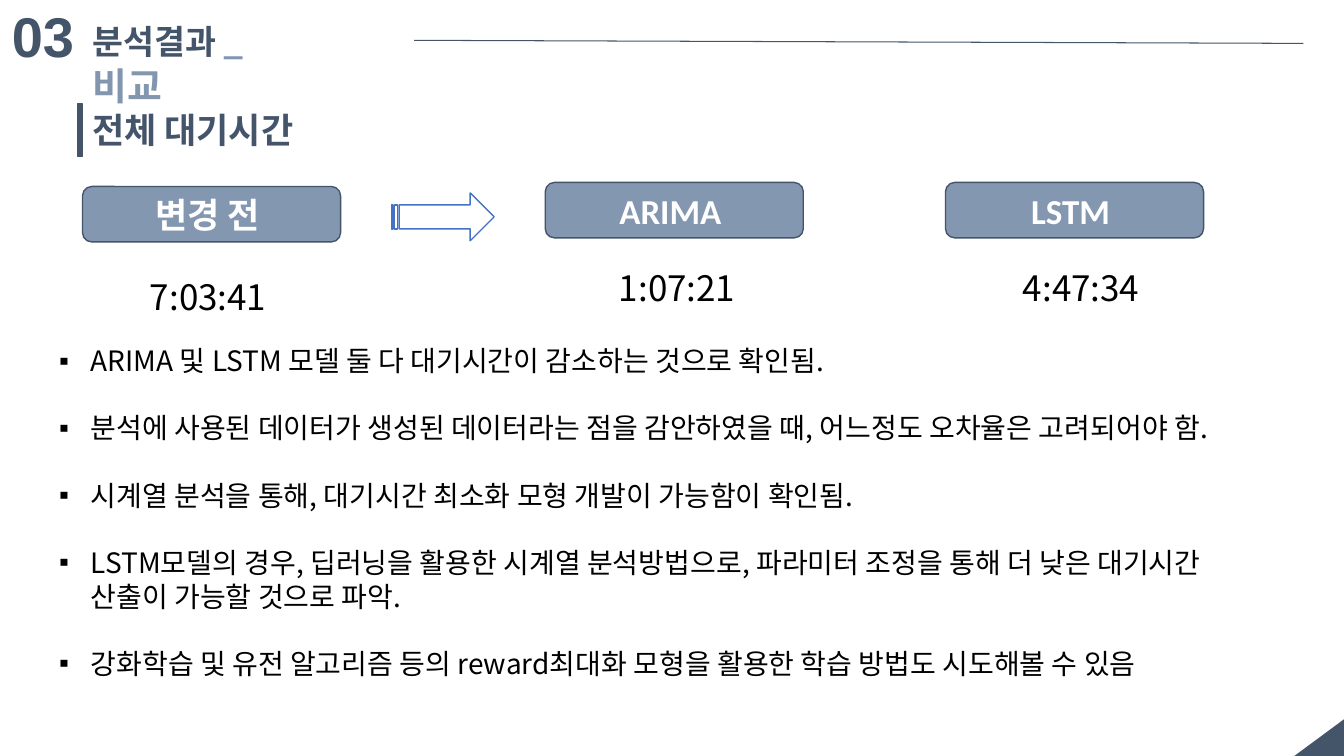
import pptx
import pptx.dml.color
import pptx.enum.shapes
import pptx.enum.text
import pptx.oxml
import pptx.oxml.ns
import pptx.util

Pt = pptx.util.Pt
SHAPES = pptx.enum.shapes.MSO_SHAPE
ALIGN = pptx.enum.text.PP_ALIGN
ANCHOR = pptx.enum.text.MSO_ANCHOR

# Content
SECTION_NUMBER = "03"
TITLE_RUNS = [("분석결과 ", 24, "445569"), ("_비교", 27, "8296B0")]
SUBTITLE = "전체 대기시간"
# name, box left, box top, time left, time top
RESULTS = [
    ("변경 전 ", 59, 133.2, "7:03:41", 100, 193),
    ("ARIMA ", 389.5, 130.3, "1:07:21", 435, 186.5),
    ("LSTM ", 675.4, 130.3, "4:47:34", 723.6, 186.5),
]
FINDINGS = [
    "ARIMA 및 LSTM 모델 둘 다 대기시간이 감소하는 것으로 확인됨.",
    "분석에 사용된 데이터가 생성된 데이터라는 점을 감안하였을 때, 어느정도 오차율은 고려되어야 함.",
    "시계열 분석을 통해, 대기시간 최소화 모형 개발이 가능함이 확인됨.",
    "LSTM모델의 경우, 딥러닝을 활용한 시계열 분석방법으로, 파라미터 조정을 통해 더 낮은 대기시간 산출이 가능할 것으로 파악.",
    "강화학습 및 유전 알고리즘 등의 reward최대화 모형을 활용한 학습 방법도 시도해볼 수 있음",
]
NOTO = "Noto Sans CJK KR"
SLATE, OUTLINE, BOX_FILL = "445569", "44546A", "8497B0"
WHITE, BLACK, BLUE = "FFFFFF", "000000", "4472C4"
LINE_PITCH = 24


def color(value):
    return pptx.dml.color.RGBColor.from_string(value)


def add_text(paragraph, text, size=20, font=NOTO, fill=BLACK, bold=False, align=ALIGN.LEFT):
    paragraph.alignment = align
    run = paragraph.add_run()
    run.text = text
    run.font.size, run.font.name, run.font.bold = Pt(size), font, bold
    run.font.color.rgb = color(fill)
    east_asian = pptx.oxml.parse_xml(
        f'<a:ea {pptx.oxml.ns.nsdecls("a")} typeface="{NOTO}"/>')
    run.font._element.find(pptx.oxml.ns.qn("a:latin")).addnext(east_asian)


def prepare_frame(shape, anchor=ANCHOR.TOP):
    frame = shape.text_frame
    frame.word_wrap = True
    frame.auto_size = pptx.enum.text.MSO_AUTO_SIZE.NONE
    frame.vertical_anchor = anchor
    return frame


def place(shape, left, top, width, height):
    shape.left, shape.top, shape.width, shape.height = map(Pt, (left, top, width, height))


def add_label(text, left, top, width, height, **text_format):
    box = slide.shapes.add_textbox(Pt(left), Pt(top), Pt(width), Pt(height))
    add_text(prepare_frame(box).paragraphs[0], text, **text_format)


def add_figure(kind, left, top, width, height, fill, line=None):
    shape = slide.shapes.add_shape(kind, Pt(left), Pt(top), Pt(width), Pt(height))
    shape.shadow.inherit = False
    shape.fill.solid()
    shape.fill.fore_color.rgb = color(fill)
    if line:
        shape.line.color.rgb = color(line)
        shape.line.width = Pt(1)
    else:
        shape.line.fill.background()
    return shape


presentation = pptx.Presentation()
presentation.slide_width, presentation.slide_height = Pt(960), Pt(540)
slide = presentation.slides.add_slide(presentation.slide_layouts[1])
title, body = slide.placeholders

# Corner triangle
corner = add_figure(SHAPES.RIGHT_TRIANGLE, 928.8, 509, 26.6, 36, SLATE)
corner.rotation = 270

# Header
add_label(SECTION_NUMBER, 1.4, -2.2, 91.4, 55.4, size=40, font="Arial", fill=SLATE, bold=True)
place(title, 59, 8.6, 177.8, 40.3)
title_frame = prepare_frame(title)
title_frame.margin_right = Pt(36)
for text, size, fill in TITLE_RUNS:
    add_text(title_frame.paragraphs[0], text, size=size, font="Calibri", fill=fill, bold=True)

rule = slide.shapes.add_connector(
    pptx.enum.shapes.MSO_CONNECTOR.STRAIGHT, Pt(295.9), Pt(28.8), Pt(931), Pt(31))
rule.line.color.rgb = color(SLATE)
rule.line.width = Pt(0.75)
rule._element.spPr.append(
    pptx.oxml.parse_xml(f'<a:effectLst {pptx.oxml.ns.nsdecls("a")}/>'))

# Subtitle with its bar
add_figure(SHAPES.RECTANGLE, 55.4, 74.2, 3.6, 37.4, SLATE, SLATE)
add_label(SUBTITLE, 59, 74.2, 184.3, 37.4, size=25, fill=OUTLINE, bold=True)

# Waiting times
for name, box_left, box_top, time, time_left, time_top in RESULTS:
    box = add_figure(SHAPES.ROUNDED_RECTANGLE, box_left, box_top, 184.3, 39.6, BOX_FILL, OUTLINE)
    add_text(prepare_frame(box, ANCHOR.MIDDLE).paragraphs[0], name, size=25,
             font="Calibri", fill=WHITE, bold=True, align=ALIGN.CENTER)
    add_label(time, time_left, time_top, 223.9, 67.7, size=25)
add_figure(SHAPES.STRIPED_RIGHT_ARROW, 279.8, 137.8, 73.2, 34.2, WHITE, BLUE)

# Findings
place(body, 26.6, 241.9, 889.9, 322.6)
body_frame = prepare_frame(body)
for index, finding in enumerate(FINDINGS):
    paragraph = body_frame.add_paragraph() if index else body_frame.paragraphs[0]
    add_text(paragraph, finding)
    paragraph.line_spacing = Pt(LINE_PITCH)
    paragraph.space_before, paragraph.space_after = Pt(0), Pt(LINE_PITCH)
    properties = paragraph._p.get_or_add_pPr()
    properties.set("marL", str(Pt(31)))
    properties.set("indent", str(Pt(-22.5)))
    for bullet in ('buFont {} typeface="Arial"', 'buChar {} char="▪"'):
        properties.append(pptx.oxml.parse_xml(
            f'<a:{bullet.format(pptx.oxml.ns.nsdecls("a"))}/>'))

presentation.save("out.pptx")
